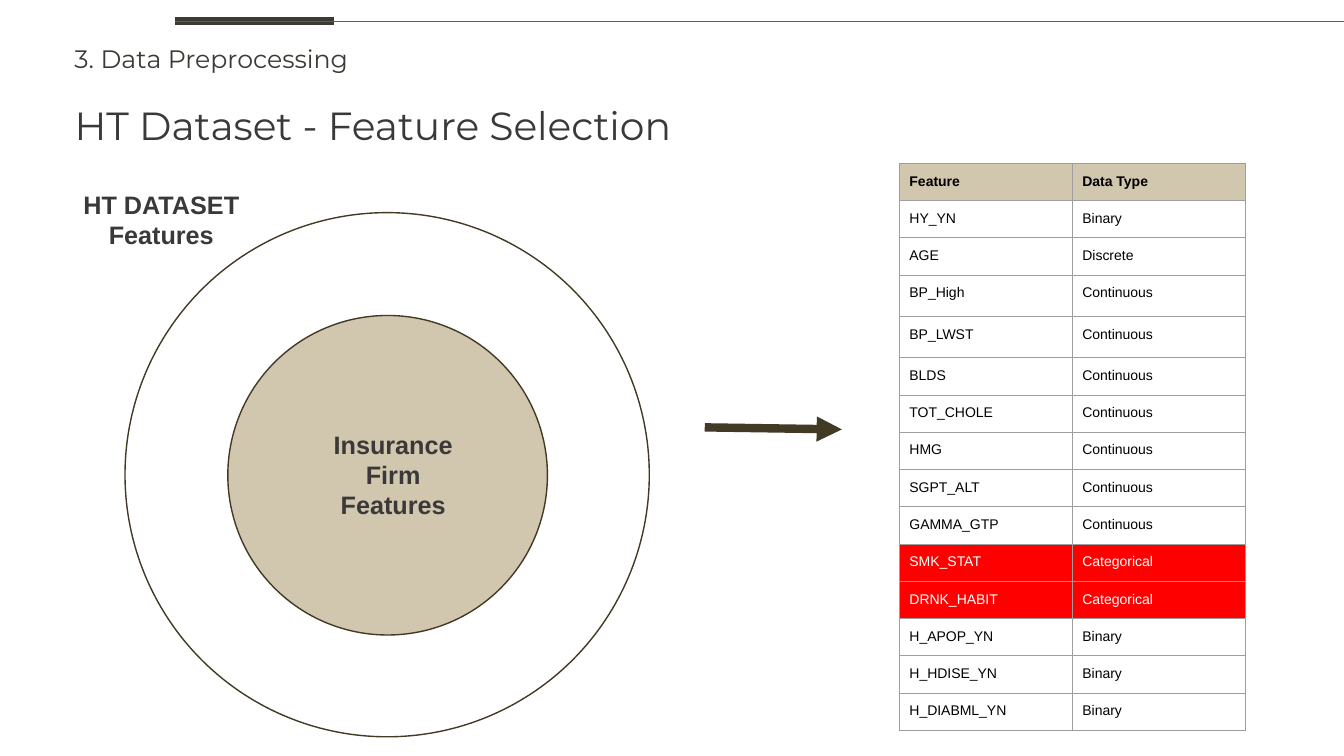
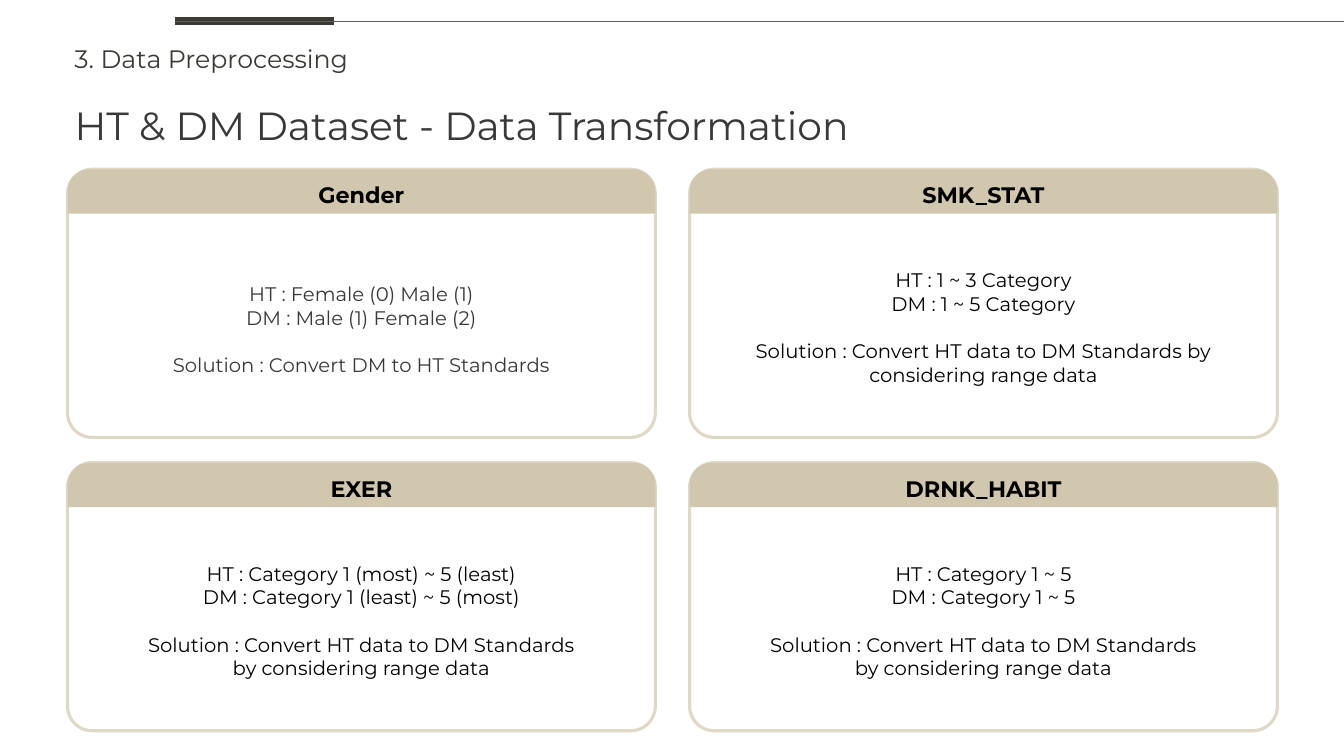
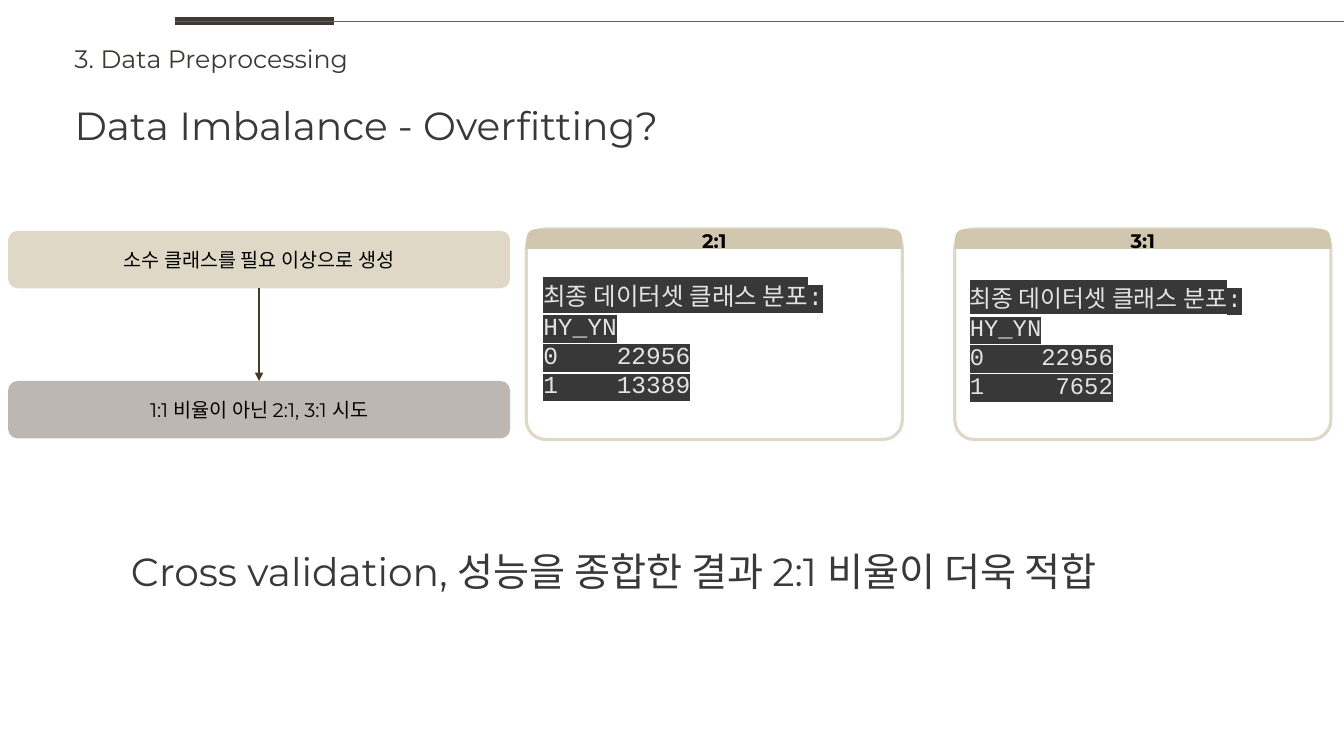
"""Build three data preprocessing slides: selection, transformation and imbalance."""
from lxml.etree import SubElement
from pptx import Presentation
from pptx.dml.color import RGBColor
from pptx.enum.shapes import MSO_CONNECTOR, MSO_SHAPE
from pptx.enum.text import MSO_ANCHOR, MSO_AUTO_SIZE, PP_ALIGN
from pptx.oxml.ns import qn
from pptx.util import Inches, Pt

COLORS = {
    "white": "FFFFFF", "black": "000000", "ink": "3A3838", "charcoal": "3D3A35",
    "rule": "5F5F5D", "brown": "433A26", "tan": "D1C6AE", "sand": "DFD8C7",
    "taupe": "BEB7B1", "grid": "9E9E9E", "alert": "FF0000",
    "code": "E3E3E3", "code_back": "383838",
}
HEADING, BODY, CODE = "Montserrat", "Arial", "Courier New"
TEXT_INSETS = (0.1, 0.05, 0.1, 0.05)
EVEN_INSETS = (0.1, 0.1, 0.1, 0.1)

SECTION = "3. Data Preprocessing"
TITLES = [
    "HT Dataset - Feature Selection",
    "HT & DM Dataset - Data Transformation",
    "Data Imbalance - Overfitting?",
]

CIRCLES = [((1.24, 2.11, 5.2, 5.2), "white"), ((2.26, 3.13, 3.17, 3.17), "tan")]
CIRCLE_LABELS = [
    ((0.39, 1.83, 2.42, 0.71), ["HT DATASET", "Features"]),
    ((3.2, 4.21, 1.4, 1.01), ["Insurance Firm", "Features"]),
]
FEATURES = [
    ("Feature", "Data Type"),
    ("HY_YN", "Binary"),
    ("AGE", "Discrete"),
    ("BP_High", "Continuous"),
    ("BP_LWST", "Continuous"),
    ("BLDS", "Continuous"),
    ("TOT_CHOLE", "Continuous"),
    ("HMG", "Continuous"),
    ("SGPT_ALT", "Continuous"),
    ("GAMMA_GTP", "Continuous"),
    ("SMK_STAT", "Categorical"),
    ("DRNK_HABIT", "Categorical"),
    ("H_APOP_YN", "Binary"),
    ("H_HDISE_YN", "Binary"),
    ("H_DIABML_YN", "Binary"),
]
TALL_ROWS = ("BP_High", "BP_LWST")

TRANSFORMATIONS = [
    ("Gender", "ink", 1.05, [
        "HT : Female (0) Male (1)", "DM : Male (1) Female (2)",
        "Solution : Convert DM to HT Standards"]),
    ("SMK_STAT", "black", 0.91, [
        "HT : 1 ~ 3 Category", "DM : 1 ~ 5 Category",
        "Solution : Convert HT data to DM Standards by considering range data"]),
    ("EXER", "black", 0.91, [
        "HT : Category 1 (most) ~ 5 (least)", "DM : Category 1 (least) ~ 5 (most)",
        "Solution : Convert HT data to DM Standards", "by considering range data"]),
    ("DRNK_HABIT", "black", 0.91, [
        "HT : Category 1 ~ 5", "DM : Category 1 ~ 5",
        "Solution : Convert HT data to DM Standards", "by considering range data"]),
]

STEPS = [
    ("소수 클래스를 필요 이상으로 생성", 2.29, "sand"),
    ("1:1 비율이 아닌 2:1, 3:1 시도", 3.78, "taupe"),
]
RATIOS = [
    ("2:1", 5.22, (5.29, 2.69, 3.61, 1.38), 17.5, 21,
     ["최종 데이터셋 클래스 분포:", "HY_YN", "0    22956", "1    13389"]),
    ("3:1", 9.47, (9.52, 2.71, 3.68, 1.35), 17, 20.7,
     ["최종 데이터셋 클래스 분포:", "HY_YN", "0    22956", "1     7652"]),
]
CONCLUSION = "Cross validation, 성능을 종합한 결과 2:1 비율이 더욱 적합"


def rgb(name):
    return RGBColor.from_string(COLORS[name])


def inches(values):
    return [Inches(value) for value in values]


def set_frame(frame, insets, anchor=MSO_ANCHOR.TOP):
    values = dict(zip(("margin_left", "margin_top", "margin_right", "margin_bottom"),
                      inches(insets)))
    values.update(word_wrap=True, auto_size=MSO_AUTO_SIZE.NONE, vertical_anchor=anchor)
    for name, value in values.items():
        setattr(frame, name, value)


def write(frame, lines, size, color, face=HEADING, bold=False, align=PP_ALIGN.LEFT):
    for index, line in enumerate(lines):
        para = frame.paragraphs[0] if index == 0 else frame.add_paragraph()
        para.alignment = align
        span = para.add_run()
        span.text = line
        span.font.color.rgb = rgb(color)
        for name, value in {"size": Pt(size), "name": face, "bold": bold}.items():
            setattr(span.font, name, value)


def add_text(page, place, lines, size, color, insets=TEXT_INSETS, **style):
    box = page.shapes.add_textbox(*inches(place))
    set_frame(box.text_frame, insets)
    write(box.text_frame, lines, size, color, **style)
    return box


def add_shape(page, kind, place, fill, line=None, width=1, adjustments=()):
    shape = page.shapes.add_shape(kind, *inches(place))
    shape.shadow.inherit = False
    shape.fill.solid()
    shape.fill.fore_color.rgb = rgb(fill)
    if line:
        shape.line.color.rgb = rgb(line)
        shape.line.width = Pt(width)
    else:
        shape.line.fill.background()
    for index, value in enumerate(adjustments):
        shape.adjustments[index] = value
    return shape


def add_line(page, start, end, color, width, arrow=False):
    line = page.shapes.add_connector(MSO_CONNECTOR.STRAIGHT, *inches(start + end))
    line.line.color.rgb = rgb(color)
    line.line.width = Pt(width)
    if arrow:
        SubElement(line.line._ln, qn("a:tailEnd"), type="triangle")
    SubElement(line._element.spPr, qn("a:effectLst"))
    return line


def add_card(page, place, header_height, heading, size):
    left, top, width, _ = place
    card = add_shape(page, MSO_SHAPE.ROUNDED_RECTANGLE, place, "white", "sand", 2.25, [0.092])
    header = add_shape(page, MSO_SHAPE.ROUND_2_SAME_RECTANGLE,
                       (left, top, width, header_height), "tan", adjustments=[0.5, 0])
    set_frame(header.text_frame, EVEN_INSETS, MSO_ANCHOR.MIDDLE)
    write(header.text_frame, [heading], size, "black", bold=True, align=PP_ALIGN.CENTER)
    return card


def add_page(deck, title):
    page = deck.slides.add_slide(deck.slide_layouts[5])
    set_frame(page.shapes.title.text_frame, TEXT_INSETS)
    write(page.shapes.title.text_frame, [title], 28, "ink")
    add_text(page, (0.64, 0.38, 3.05, 0.4), [SECTION], 18, "charcoal")
    add_line(page, (1.74, 0.21), (3.31, 0.21), "charcoal", 6)
    add_line(page, (1.74, 0.21), (13.33, 0.21), "rule", 0.75)
    return page


def set_borders(cell):
    properties = cell._tc.get_or_add_tcPr()
    for index, side in enumerate(("lnL", "lnR", "lnT", "lnB")):
        border = properties.makeelement(qn("a:" + side), {"w": str(Pt(0.75))})
        fill = SubElement(border, qn("a:solidFill"))
        SubElement(fill, qn("a:srgbClr"), val=COLORS["grid"])
        properties.insert(index, border)


def add_feature_table(page):
    heights = [0.41 if name in TALL_ROWS else 0.37 for name, _ in FEATURES]
    place = (8.92, 1.62, 3.43, sum(heights))
    table = page.shapes.add_table(len(FEATURES), 2, *inches(place)).table
    table.horz_banding = False
    for row_index, (values, height) in enumerate(zip(FEATURES, heights)):
        table.rows[row_index].height = Inches(height)
        header, alert = row_index == 0, values[1] == "Categorical"
        for column_index, value in enumerate(values):
            cell = table.cell(row_index, column_index)
            cell.fill.solid()
            cell.fill.fore_color.rgb = rgb("tan" if header else "alert" if alert else "white")
            cell.margin_top = cell.margin_bottom = Inches(0.1)
            write(cell.text_frame, [value], 10, "white" if alert else "black", BODY, header)
            set_borders(cell)


def build_selection(page):
    for place, fill in CIRCLES:
        add_shape(page, MSO_SHAPE.OVAL, place, fill, "brown")
    for place, lines in CIRCLE_LABELS:
        add_text(page, place, lines, 18, "ink", face=BODY, bold=True, align=PP_ALIGN.CENTER)
    add_line(page, (6.99, 4.24), (8.35, 4.26), "brown", 6, arrow=True)
    add_feature_table(page)


def build_transformation(page):
    for index, (heading, color, inset, lines) in enumerate(TRANSFORMATIONS):
        row, column = divmod(index, 2)
        place = (0.67 + column * 6.17, 1.68 + row * 2.91, 5.83, 2.66)
        frame = add_card(page, place, 0.44, heading, 16).text_frame
        set_frame(frame, (0.1, inset, 0.1, 0.1))
        write(frame, lines, 14, color, align=PP_ALIGN.CENTER)
        frame.paragraphs[2].space_before = Pt(17)


def add_code(page, place, lines, size, spacing):
    box = add_text(page, place, lines, size, "code", EVEN_INSETS, face=CODE)
    for para in box.text_frame.paragraphs:
        para.line_spacing = Pt(spacing)
        latin = para.runs[0]._r.rPr.find(qn("a:latin"))
        highlight = latin.makeelement(qn("a:highlight"), {})
        SubElement(highlight, qn("a:srgbClr"), val=COLORS["code_back"])
        latin.addprevious(highlight)


def build_imbalance(page):
    for heading, left, code_place, size, spacing, lines in RATIOS:
        add_card(page, (left, 2.27, 3.73, 2.09), 0.2, heading, 14)
        add_code(page, code_place, lines, size, spacing)
    steps = []
    for label, top, fill in STEPS:
        step = add_shape(page, MSO_SHAPE.ROUNDED_RECTANGLE, (0.08, top, 4.98, 0.57), fill,
                         adjustments=[0.167])
        set_frame(step.text_frame, EVEN_INSETS, MSO_ANCHOR.MIDDLE)
        write(step.text_frame, [label], 14, "black", align=PP_ALIGN.CENTER)
        steps.append(step)
    arrow = add_line(page, (2.57, 2.86), (2.57, 3.78), "brown", 1.5, arrow=True)
    arrow.begin_connect(steps[0], 2)
    arrow.end_connect(steps[1], 0)
    add_text(page, (1.2, 5.33, 9.98, 0.67), [CONCLUSION], 28, "ink", EVEN_INSETS)


def main():
    deck = Presentation()
    deck.slide_width, deck.slide_height = inches((13.33, 7.5))
    title = deck.slide_layouts[5].placeholders[0]
    title.left, title.top, title.width, title.height = inches((0.64, 0.95, 12.46, 0.57))
    builders = (build_selection, build_transformation, build_imbalance)
    for heading, build in zip(TITLES, builders):
        build(add_page(deck, heading))
    deck.save("out.pptx")


if __name__ == "__main__":
    main()
